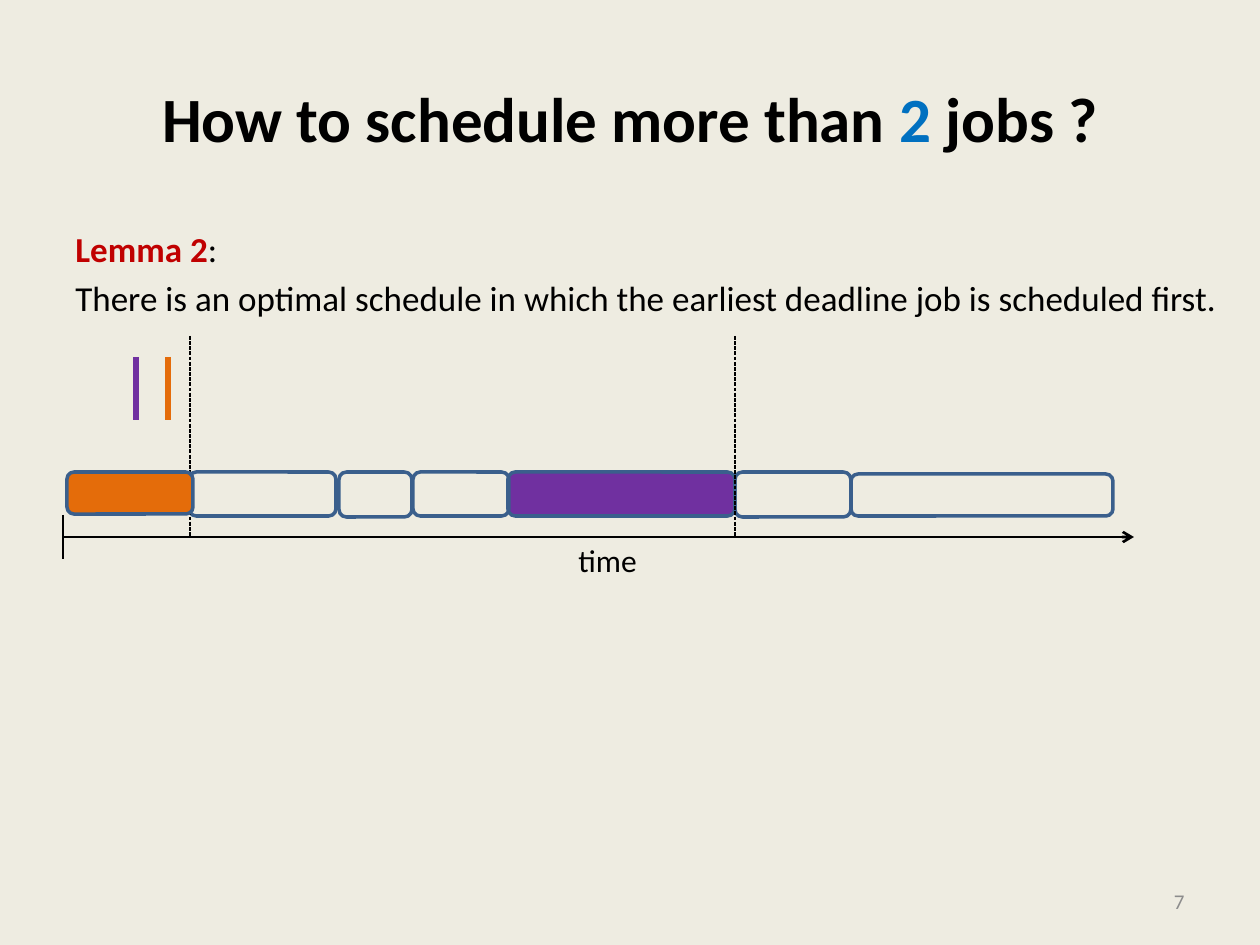
import dataclasses

import lxml.etree
import pptx
import pptx.dml.color
import pptx.enum.dml
import pptx.enum.shapes
import pptx.enum.text
import pptx.oxml.ns
import pptx.util

PX = 914400 // 126
ALIGN = pptx.enum.text.PP_ALIGN
ANCHOR = pptx.enum.text.MSO_ANCHOR
DASH = pptx.enum.dml.MSO_LINE


@dataclasses.dataclass(frozen=True)
class Theme:
    font: str = "Calibri"
    paper: str = "EEECE1"
    ink: str = "000000"
    blue: str = "0070C0"
    red: str = "C00000"
    gray: str = "8C8C8C"
    edge: str = "3A5F8C"
    orange: str = "E46C0A"
    purple: str = "7030A0"
    title: int = 36
    body: int = 20
    label: int = 18
    small: int = 12


THEME = Theme()


def px(*nums):
    return [pptx.util.Emu(num * PX) for num in nums]


def rgb(code):
    return pptx.dml.color.RGBColor.from_string(code)


def add_text(shapes, box, paras, size, align=ALIGN.LEFT, anchor=ANCHOR.TOP,
             gap=0, wrap=True):
    """Each paragraph is a list of (words, colour, bold) runs."""
    frame = shapes.add_textbox(*px(*box)).text_frame
    frame.word_wrap = wrap
    frame.vertical_anchor = anchor
    for num, runs in enumerate(paras):
        para = frame.add_paragraph() if num else frame.paragraphs[0]
        para.alignment = align
        para.space_before = pptx.util.Pt(gap)
        for words, color, bold in runs:
            run = para.add_run()
            run.text = words
            run.font.name = THEME.font
            run.font.size = pptx.util.Pt(size)
            run.font.bold = bold
            run.font.color.rgb = rgb(color)


def add_line(shapes, start, end, color, width, dash=None, arrow=False):
    line = shapes.add_connector(
        pptx.enum.shapes.MSO_CONNECTOR.STRAIGHT, *px(*start, *end))
    line.line.color.rgb = rgb(color)
    line.line.width = pptx.util.Pt(width)
    if dash:
        line.line.dash_style = dash
    qn = pptx.oxml.ns.qn
    if arrow:
        lxml.etree.SubElement(
            line.line._get_or_add_ln(), qn("a:tailEnd"), type="arrow")
    lxml.etree.SubElement(line._element.spPr, qn("a:effectLst"))


def add_job(shapes, box, color):
    job = shapes.add_shape(
        pptx.enum.shapes.MSO_SHAPE.ROUNDED_RECTANGLE, *px(*box))
    job.shadow.inherit = False
    job.line.color.rgb = rgb(THEME.edge)
    job.line.width = pptx.util.Pt(2)
    if color:
        job.fill.solid()
        job.fill.fore_color.rgb = rgb(color)
    else:
        job.fill.background()


def add_title(shapes, box):
    runs = [("How to schedule more than ", THEME.ink, True),
            ("2", THEME.blue, True),
            (" jobs ?", THEME.ink, True)]
    add_text(shapes, box, [runs], THEME.title, ALIGN.CENTER, ANCHOR.MIDDLE)


def add_lemma(shapes, box):
    claim = ("There is an optimal schedule in which the earliest deadline "
             "job is scheduled first.")
    paras = [[("Lemma 2", THEME.red, True), (":", THEME.ink, False)],
             [(claim, THEME.ink, False)]]
    add_text(shapes, box, paras, THEME.body, gap=4)


def add_axis(shapes, box):
    left, top, width, height = box
    axis = shapes.add_group_shape().shapes
    mid = top + height // 2
    add_line(axis, (left, mid), (left + width, mid), THEME.ink, 1.5,
             arrow=True)
    add_line(axis, (left, top), (left, top + height), THEME.ink, 1.5)
    add_text(axis, (left + 503, mid - 2, 84, 50),
             [[("time", THEME.ink, False)]], THEME.label, wrap=False)


def add_chart(shapes, box):
    """Jobs in a row over the time axis, with deadlines above."""
    left, top, width, height = box
    jobs = [(126, 136, 147, 44, None), (788, 138, 262, 42, None),
            (276, 136, 73, 45, None), (445, 136, 227, 44, THEME.purple),
            (350, 136, 96, 44, None), (672, 136, 116, 45, None)]
    first = (4, 136, 126, 42, THEME.orange)

    def place(job):
        x, y, wide, high, color = job
        add_job(shapes, (left + x, top + y, wide, high), color)

    for job in jobs:
        place(job)
    for x in (127, 672):
        add_line(shapes, (left + x, top), (left + x, top + 201), THEME.ink,
                 0.75, DASH.SQUARE_DOT)
    add_axis(shapes, (left, top + height - 44, width, 44))
    for x, color in ((105, THEME.orange), (73, THEME.purple)):
        add_line(shapes, (left + x, top + 21), (left + x, top + 84), color, 3)
    place(first)


def add_number(shapes, box):
    add_text(shapes, box, [[("7", THEME.gray, False)]], THEME.small,
             ALIGN.RIGHT, ANCHOR.MIDDLE)


def main():
    deck = pptx.Presentation()
    deck.slide_width, deck.slide_height = px(1260, 945)
    slide = deck.slides.add_slide(deck.slide_layouts[6])
    slide.background.fill.solid()
    slide.background.fill.fore_color.rgb = rgb(THEME.paper)
    shapes = slide.shapes
    add_title(shapes, (63, 38, 1134, 158))
    add_lemma(shapes, (63, 221, 1197, 624))
    add_number(shapes, (903, 876, 294, 50))
    add_chart(shapes, (63, 336, 1071, 223))
    deck.save("out.pptx")


if __name__ == "__main__":
    main()
